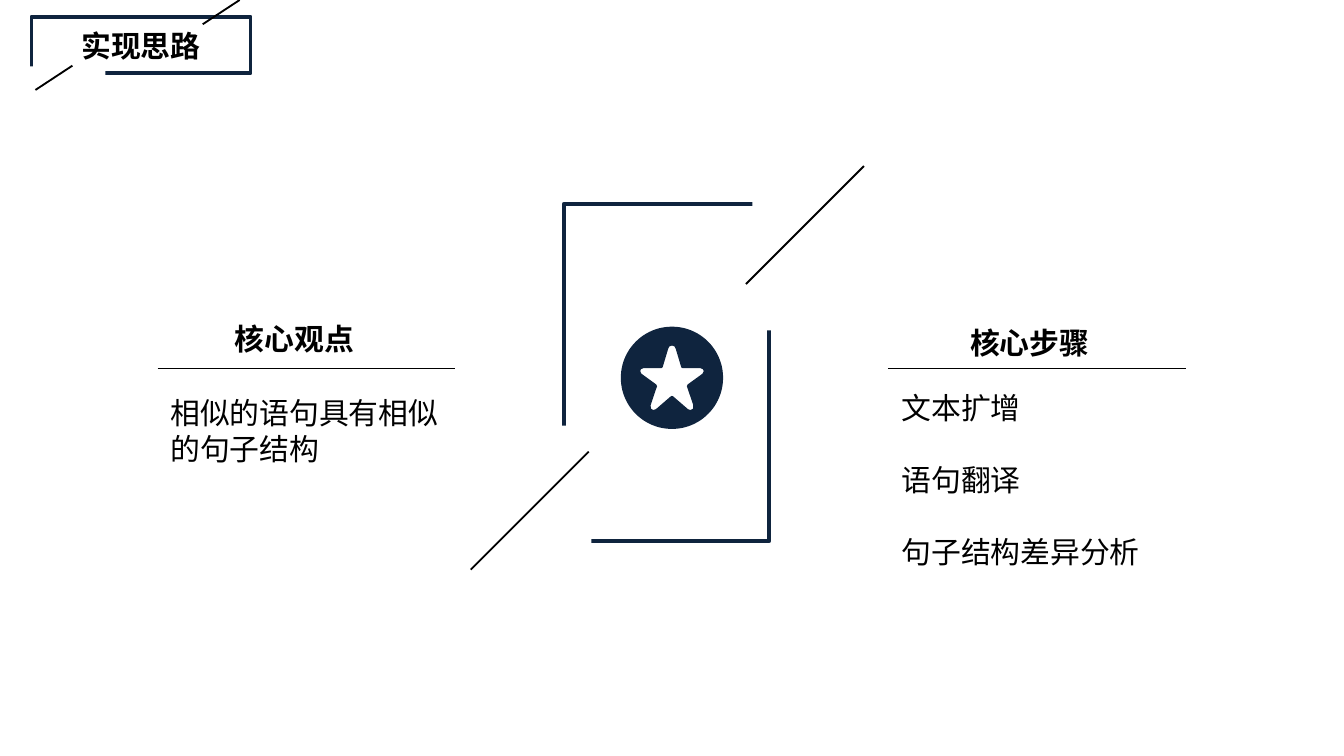
from math import cos, pi, sin
from typing import NamedTuple, Optional

from lxml.etree import SubElement
from pptx import Presentation
from pptx.dml.color import RGBColor
from pptx.enum.shapes import MSO_CONNECTOR, MSO_SHAPE
from pptx.enum.text import MSO_AUTO_SIZE, PP_ALIGN
from pptx.oxml.ns import qn
from pptx.util import Pt

NAVY = RGBColor(0x0F, 0x24, 0x3E)
BLACK = RGBColor(0, 0, 0)
WHITE = RGBColor(0xFF, 0xFF, 0xFF)
CJK_FONT = "Noto Sans CJK SC"
HEADING = {"name": "Arial", "size": Pt(16), "bold": True}
BODY = {"name": CJK_FONT, "size": Pt(16), "bold": False}


class Box(NamedTuple):
    x: float
    y: float
    w: float
    h: float


class Line(NamedTuple):
    x1: float
    y1: float
    x2: float
    y2: float
    width: float = 1


class Label(NamedTuple):
    box: Box
    lines: tuple[str, ...]
    font: dict
    align: Optional[PP_ALIGN] = None


class Frame(NamedTuple):
    """An outlined box, the gaps cut from it and the strokes through them."""
    box: Box
    gaps: tuple[Box, ...]
    strokes: tuple[Line, ...]


TITLE_FRAME = Frame(
    Box(16.9, 9, 117.4, 30.2),
    (Box(0, 35.6, 56.5, 5.8),),
    (Line(128.4, 0, 108.6, 13), Line(38.8, 35.2, 19, 48.2)),
)
CENTRE_FRAME = Frame(
    Box(302, 109.2, 110.2, 180.7),
    (Box(403, 89, 22.3, 88), Box(294.5, 228, 22.3, 88)),
    (Line(462.8, 89, 399.6, 152.2), Line(315.4, 242, 252.2, 305.2)),
)
TITLE = Label(Box(0, 11.5, 151.2, 26.6), ("实现思路",), HEADING, PP_ALIGN.CENTER)
COLUMN_LABELS = (
    Label(Box(118.8, 168.5, 178, 26.6), ("核心观点",), HEADING),
    Label(Box(512.6, 170.6, 178, 26.6), ("核心步骤",), HEADING),
    Label(Box(84.2, 208, 160, 46), ("相似的语句具有相似的句子结构",), BODY),
    Label(Box(476, 205.2, 160, 104.4),
          ("文本扩增", "语句翻译", "句子结构差异分析"), BODY),
)
RULES = [Line(x, 197.3, x + 159.6, 197.3, 0.75) for x in (84.4, 475.6)]

STAR_CENTRE = (360, 202.4)
STAR_RADIUS = 27.4
# Right half of the round-tipped star, from top to bottom, about its centre
HALF_STAR = [
    (0, -17.3), (1.4, -16.8), (2, -15.6), (5, -5.6), (5.6, -5.2),
    (15.2, -5.2), (16.6, -4.6), (17, -3.6), (16.4, -2.2), (8.4, 3.6),
    (8, 4.5), (11.4, 14.6), (11.3, 16.5), (10, 17.3), (8.6, 16.8),
    (0.7, 10), (0, 9.7),
]


def add_box(s, box: Box, fill: Optional[RGBColor], line: Optional[RGBColor]) -> None:
    sp = s.add_shape(MSO_SHAPE.RECTANGLE, *map(Pt, box))
    sp.shadow.inherit = False
    for part, color in ((sp.fill, fill), (sp.line.fill, line)):
        if color is None:
            part.background()
        else:
            part.solid()
            part.fore_color.rgb = color
    if line is not None:
        sp.line.width = Pt(2)


def add_line(s, line: Line) -> None:
    cx = s.add_connector(MSO_CONNECTOR.STRAIGHT, *map(Pt, line[:4]))
    cx.line.color.rgb = BLACK
    cx.line.width = Pt(line.width)
    SubElement(cx._element.spPr, qn("a:effectLst"))


def add_frame(s, frame: Frame) -> None:
    add_box(s, frame.box, None, NAVY)
    for gap in frame.gaps:
        add_box(s, gap, WHITE, None)
    for stroke in frame.strokes:
        add_line(s, stroke)


def add_label(s, label: Label) -> None:
    tf = s.add_textbox(*map(Pt, label.box)).text_frame
    tf.word_wrap = True
    tf.auto_size = MSO_AUTO_SIZE.SHAPE_TO_FIT_TEXT
    for i, text in enumerate(label.lines):
        p = tf.add_paragraph() if i else tf.paragraphs[0]
        p.alignment = label.align
        if i:
            p.space_before = Pt(19.3)
        r = p.add_run()
        r.text = text
        for key, value in label.font.items():
            setattr(r.font, key, value)
        r.font.color.rgb = BLACK
        SubElement(r._r.get_or_add_rPr(), qn("a:ea")).set("typeface", CJK_FONT)


def add_star_badge(s) -> None:
    """Draw a disc with a star-shaped hole."""
    steps = 96
    disc = [(STAR_RADIUS * cos(2 * pi * i / steps), STAR_RADIUS * sin(2 * pi * i / steps))
            for i in range(steps)]
    star = HALF_STAR + [(-x, y) for x, y in HALF_STAR[-2:0:-1]]
    cx, cy = STAR_CENTRE
    disc, star = ([(Pt(cx + x), Pt(cy + y)) for x, y in outline]
                  for outline in (disc, star))
    builder = s.build_freeform(*disc[0])
    builder.add_line_segments(disc[1:])
    builder.move_to(*star[0])
    builder.add_line_segments(star[1:])
    sp = builder.convert_to_shape()
    sp.shadow.inherit = False
    sp.fill.solid()
    sp.fill.fore_color.rgb = NAVY
    sp.line.fill.background()


def main() -> None:
    prs = Presentation()
    prs.slide_width, prs.slide_height = Pt(720), Pt(405)
    s = prs.slides.add_slide(prs.slide_layouts[6]).shapes

    title = s.add_group_shape().shapes
    add_frame(title, TITLE_FRAME)
    add_label(title, TITLE)

    centre = s.add_group_shape().shapes
    add_frame(centre, CENTRE_FRAME)
    add_star_badge(centre)

    for rule in RULES:
        add_line(s, rule)
    for label in COLUMN_LABELS:
        add_label(s, label)
    prs.save("out.pptx")


if __name__ == "__main__":
    main()
